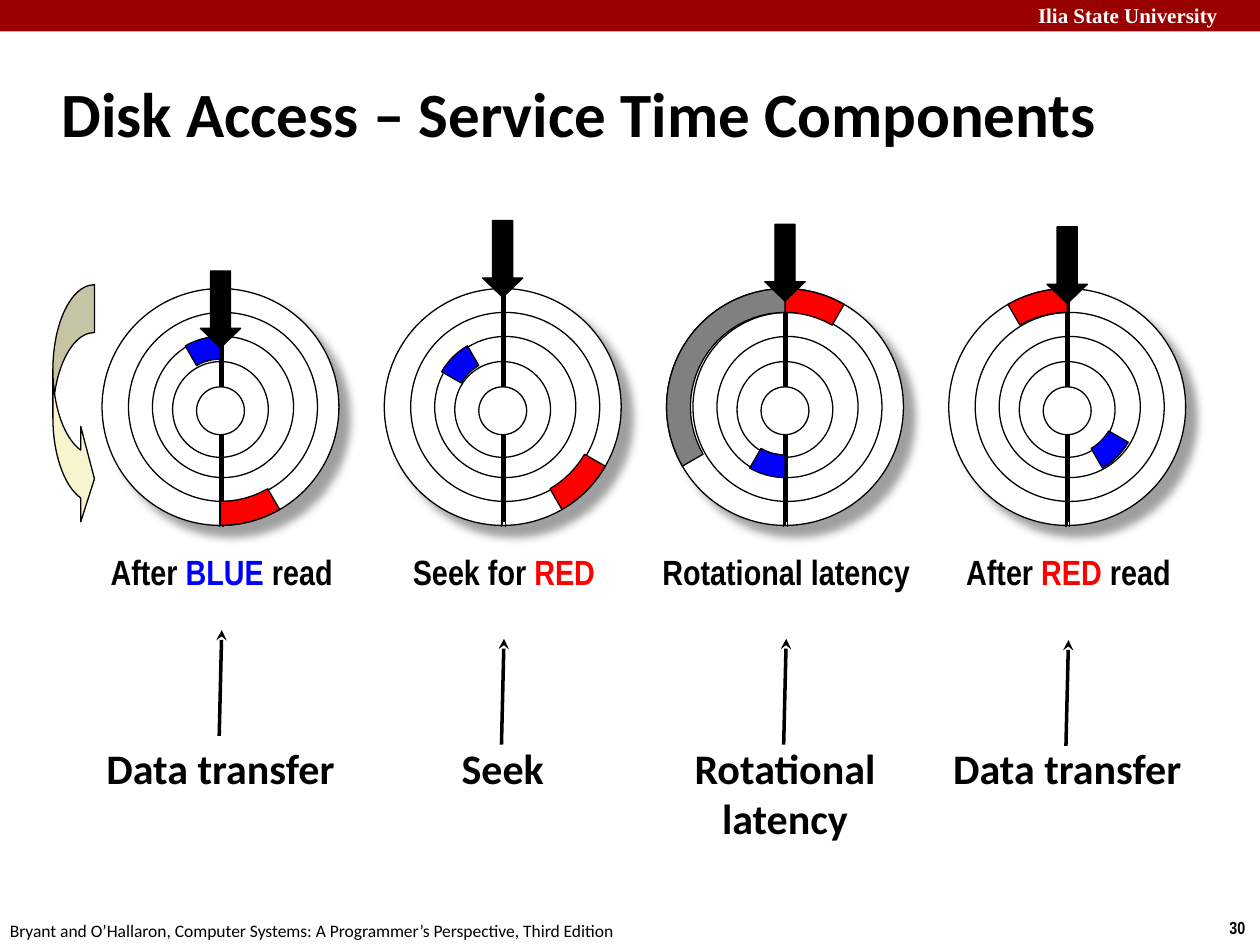
import math
from lxml import etree
from pptx import Presentation
from pptx import util as u
from pptx.dml import color
from pptx.enum import shapes, text
from pptx.oxml import ns

Inches = u.Inches
COLORS = {"black": "000000", "white": "FFFFFF", "banner": "990000", "blue": "0000FF",
          "red": "FF0000", "gray": "808080", "cream": "F7F5CD"}
RGB = {name: color.RGBColor.from_string(value) for name, value in COLORS.items()}
KIND = shapes.MSO_SHAPE

prs = Presentation()
prs.slide_width, prs.slide_height = Inches(10), Inches(7.5)
slide = prs.slides.add_slide(prs.slide_layouts[6])


def add_text(lines, left, top, width, height, size, font="Calibri", fill="black",
             bold=True, align="LEFT", wrap=False, anchor="TOP"):
    """Each line is a list of (words, colour or None) runs."""
    box = slide.shapes.add_textbox(Inches(left), Inches(top), Inches(width), Inches(height))
    frame = box.text_frame
    frame.word_wrap = wrap
    frame.vertical_anchor = text.MSO_ANCHOR[anchor]
    for number, runs in enumerate(lines):
        paragraph = frame.add_paragraph() if number else frame.paragraphs[0]
        paragraph.alignment = text.PP_ALIGN[align]
        for words, run_fill in runs:
            run = paragraph.add_run()
            run.text = words
            run.font.name, run.font.size, run.font.bold = font, u.Pt(size), bold
            run.font.color.rgb = RGB[run_fill or fill]


def paint(shape, fill, outline=True):
    shape.shadow.inherit = False
    shape.fill.solid()
    shape.fill.fore_color.rgb = RGB[fill]
    if outline:
        shape.line.color.rgb = RGB["black"]
        shape.line.width = u.Pt(0.75)
    else:
        shape.line.fill.background()
    return shape


# Banner, title and footer
paint(slide.shapes.add_shape(KIND.RECTANGLE, 0, 0, Inches(10), Inches(0.25)), "banner", False)
add_text([[("Ilia State University", None)]], 8.14, -0.03, 1.63, 0.3, 12,
         font="Times New Roman", fill="white")
add_text([[("30", None)]], 9.66, 7.23, 0.34, 0.27, 10, font="Arial Narrow")
add_text([[("Bryant and O’Hallaron, Computer Systems: "
            "A Programmer’s Perspective, Third Edition", None)]],
         -0.02, 7.25, 5.08, 0.27, 10, bold=False)
add_text([[("Disk Access – Service Time Components", None)]],
         0.39, 0.48, 8.85, 0.83, 36, wrap=True, anchor="MIDDLE")

# Track circles: radius, centre offset from the disk axis, centre y
TRACKS = [(0.94, 0, 3.23), (0.75, 0.02, 3.23), (0.56, 0.02, 3.23), (0.38, 0, 3.25)]
HUB = (0.19, 0, 3.26)
SPINDLE_LINES = [(0, 2.29), (-0.01, 2.3), (-0.01, 2.27), (0.01, 2.26), (0.02, 2.3)]
RINGS = {"blue": (0.38, 0.56), "red": (0.75, 0.94), "gray": (0.75, 0.94)}

# Sectors hold a colour and two angles, clockwise from the top
stages = [
    dict(head=2.15, sectors=[("blue", -30, 0), ("red", 150, 180)],
         caption=[("After ", None), ("BLUE ", "blue"), ("read", None)], caption_width=2.33,
         cost=["Data transfer"], cost_size=(2.03, 0.5), pointer=5.84),
    dict(head=1.75, sectors=[("red", 120, 150), ("blue", -60, -30)],
         caption=[("Seek for ", None), ("RED", "red")], caption_width=2,
         cost=["Seek"], cost_size=(0.86, 0.5), pointer=5.91),
    dict(head=1.78, sectors=[("red", 0, 30), ("blue", 180, 210), ("gray", 240, 360)],
         caption=[("Rotational latency", None)], caption_width=2.67,
         cost=["Rotational", "latency"], cost_size=(1.81, 0.91), pointer=5.91),
    dict(head=1.8, sectors=[("red", -30, 0), ("blue", 120, 150)],
         caption=[("After ", None), ("RED", "red"), (" read", None)], caption_width=2.33,
         cost=["Data transfer"], cost_size=(2.03, 0.5), pointer=5.92),
]

for column, stage in enumerate(stages):
    axis = 1.75 + 2.24 * column
    disk = slide.shapes.add_group_shape().shapes

    # Platter with its shadow, tracks, spindle lines and hub
    for ring, (radius, shift, middle) in enumerate(TRACKS + [HUB]):
        if ring == len(TRACKS):
            for dx, top in SPINDLE_LINES:
                x = Inches(axis + dx)
                spindle = disk.add_connector(shapes.MSO_CONNECTOR.STRAIGHT,
                                             x, Inches(top), x, Inches(top + 1.88))
                spindle.line.color.rgb = RGB["black"]
                spindle.line.width = u.Pt(0.75)
                etree.SubElement(spindle._element.spPr, ns.qn("a:effectLst"))
        track = paint(disk.add_shape(KIND.OVAL, Inches(axis + shift - radius),
                                     Inches(middle - radius), Inches(2 * radius),
                                     Inches(2 * radius)), "white")
        if ring == 0:
            effects = track._element.spPr.find(ns.qn("a:effectLst"))
            shadow = etree.SubElement(effects, ns.qn("a:outerShdw"), blurRad=str(u.Pt(5)),
                                      dist=str(u.Pt(8.5)), dir="2700000",
                                      algn="tl", rotWithShape="0")
            tint = etree.SubElement(shadow, ns.qn("a:srgbClr"), val=COLORS["gray"])
            etree.SubElement(tint, ns.qn("a:alpha"), val="75000")

    # Coloured sectors
    for fill, start, end in stage["sectors"]:
        inner, outer = RINGS[fill]
        angles = range(start, end + 1, 5)
        rim = [(outer, a) for a in angles] + [(inner, a) for a in reversed(angles)]
        points = [(Inches(axis + r * math.sin(math.radians(a))),
                   Inches(3.23 - r * math.cos(math.radians(a)))) for r, a in rim]
        outline = disk.build_freeform(*points[0])
        outline.add_line_segments(points[1:], close=True)
        paint(outline.convert_to_shape(), fill)

    # Read/write head
    head = paint(disk.add_shape(KIND.DOWN_ARROW, Inches(axis - 0.16), Inches(stage["head"]),
                                Inches(0.32), Inches(0.61)), "black")
    head.adjustments[0], head.adjustments[1] = 0.5, 0.48

    # Caption, pointer and time component
    width = stage["caption_width"]
    add_text([stage["caption"]], axis + 0.01 - width / 2, 4.32, width, 0.43, 20,
             font="Arial Narrow", align="CENTER")
    width, height = stage["cost_size"]
    add_text([[(line, None)] for line in stage["cost"]], axis - width / 2, 5.84,
             width, height, 24, align="CENTER")
    pointer = slide.shapes.add_connector(
        shapes.MSO_CONNECTOR.STRAIGHT, Inches(axis - 0.01), Inches(stage["pointer"]),
        Inches(axis + 0.01), Inches(stage["pointer"] - 0.84))
    pointer.line.color.rgb = RGB["black"]
    pointer.line.width = u.Pt(2)
    etree.SubElement(pointer.line._get_or_add_ln(), ns.qn("a:tailEnd"), type="stealth")
    etree.SubElement(pointer._element.spPr, ns.qn("a:effectLst"))

# Rotation arrow
rotation = paint(slide.shapes.add_shape(KIND.CURVED_RIGHT_ARROW, Inches(0.42), Inches(2.26),
                                        Inches(0.33), Inches(1.92)), "cream")
for index, value in enumerate((1.15, 2.3, 0.33)):
    rotation.adjustments[index] = value

prs.save("out.pptx")
